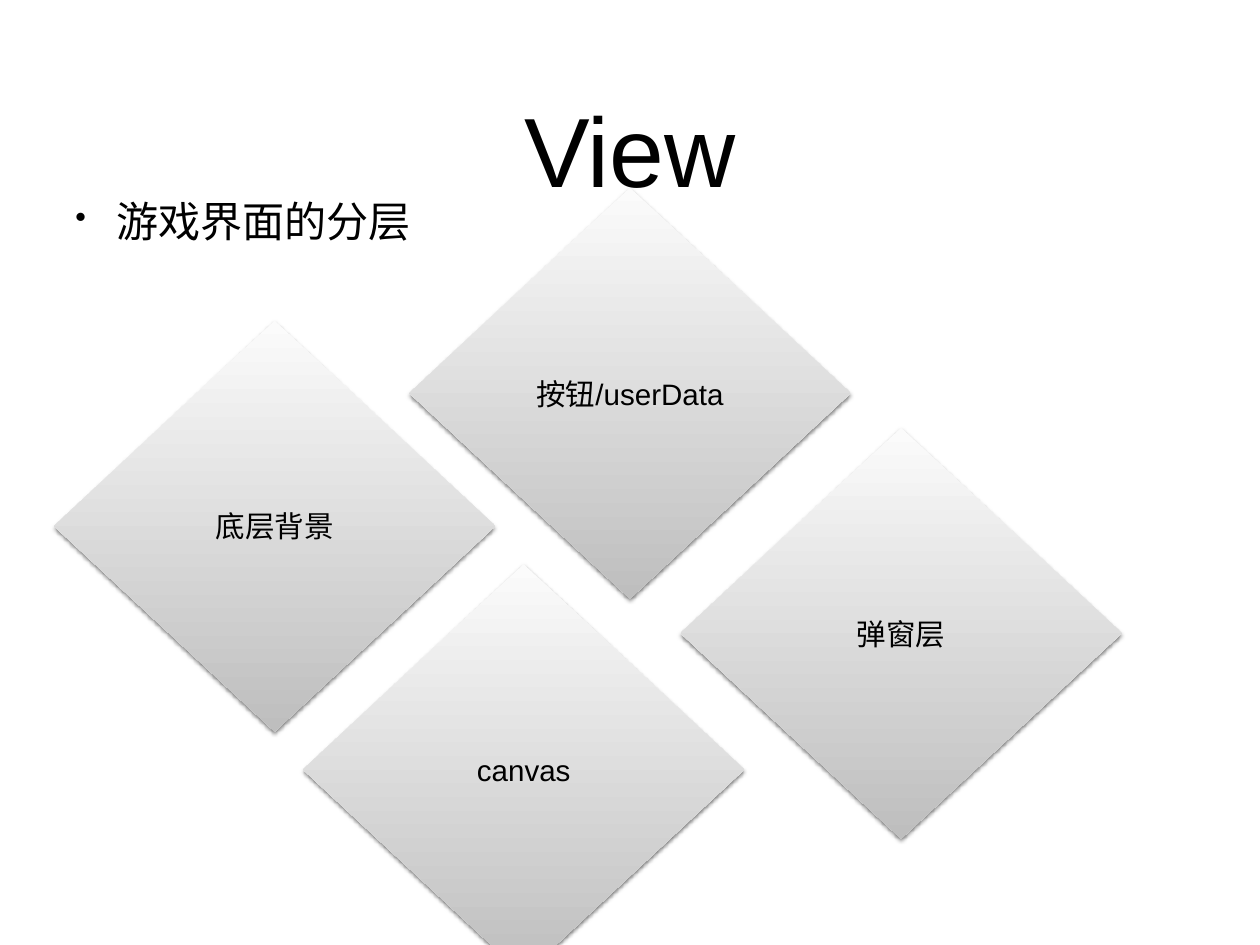
"""Build the slide that shows the layers of the game view."""
from lxml.etree import SubElement
from pptx import Presentation
from pptx.dml.color import RGBColor
from pptx.enum.shapes import MSO_SHAPE
from pptx.enum.text import MSO_ANCHOR, PP_ALIGN
from pptx.oxml.ns import qn
from pptx.util import Inches, Pt

COLOURS = {"ink": "000000", "light": "FBFBFB", "dark": "BEBEBE", "shadow": "000000"}


class LayerSlide:
    def __init__(self, deck, font="Arial", grid=100):
        self.slide = deck.slides.add_slide(deck.slide_layouts[6])
        self.font = font
        self.column = deck.slide_width / grid
        self.row = deck.slide_height / grid

    def place(self, left, top, width, height):
        return (int(left * self.column), int(top * self.row),
                int(width * self.column), int(height * self.row))

    def label(self, shape, wording, size, align=PP_ALIGN.CENTER, anchor=MSO_ANCHOR.MIDDLE):
        frame = shape.text_frame
        frame.word_wrap = True
        frame.vertical_anchor = anchor
        frame.margin_left = frame.margin_right = Inches(0.06)
        frame.margin_top = frame.margin_bottom = Inches(0.06)
        paragraph = frame.paragraphs[0]
        paragraph.text = wording
        paragraph.alignment = align
        paragraph.font.size = Pt(size)
        paragraph.font.name = self.font
        paragraph.font.color.rgb = RGBColor.from_string(COLOURS["ink"])
        defaults = paragraph._p.pPr.find(qn("a:defRPr"))
        SubElement(defaults, qn("a:ea"), typeface=self.font)
        return paragraph

    def title(self, wording, *area):
        self.label(self.slide.shapes.add_textbox(*self.place(*area)), wording, 80)

    def bullet(self, wording, *area):
        box = self.slide.shapes.add_textbox(*self.place(*area))
        paragraph = self.label(box, wording, 34.2, PP_ALIGN.LEFT, MSO_ANCHOR.TOP)
        properties = paragraph._p.pPr
        indent = Inches(0.46)
        properties.set("marL", str(indent))
        properties.set("indent", str(-indent))
        size = SubElement(properties, qn("a:buSzPct"), val="75000")
        mark = SubElement(properties, qn("a:buChar"), char="•")
        properties.insert(0, size)
        properties.insert(1, mark)

    def diamond(self, wording, *area):
        layer = self.slide.shapes.add_shape(MSO_SHAPE.DIAMOND, *self.place(*area))
        layer.fill.gradient()
        layer.fill.gradient_angle = 270
        for stop, tone, position in zip(layer.fill.gradient_stops, ("light", "dark"), (0, 1)):
            stop.color.rgb = RGBColor.from_string(COLOURS[tone])
            stop.position = position
        layer.line.fill.background()
        self.drop_shadow(layer)
        self.label(layer, wording, 24)

    def drop_shadow(self, shape):
        shape.shadow.inherit = False
        effects = shape._element.spPr.find(qn("a:effectLst"))
        shadow = SubElement(effects, qn("a:outerShdw"), blurRad=str(Pt(3)),
                            dist=str(Pt(2)), dir="5400000", rotWithShape="0")
        colour = SubElement(shadow, qn("a:srgbClr"), val=COLOURS["shadow"])
        SubElement(colour, qn("a:alpha"), val="50000")


deck = Presentation()
deck.slide_width, deck.slide_height = Inches(14.22), Inches(10.67)
view = LayerSlide(deck)
view.title("View", 7.31, 4.59, 85.37, 22.12)
view.bullet("游戏界面的分层", 5.56, 20.15, 32.42, 7.31)
LAYERS = [
    ("底层背景", 4.29, 33.93),
    ("canvas", 24.05, 59.7),
    ("按钮/userData", 32.49, 19.87),
    ("弹窗层", 54.01, 45.27),
]
for layer_name, left, top in LAYERS:
    view.diamond(layer_name, left, top, 35.02, 43.49)
deck.save("out.pptx")
